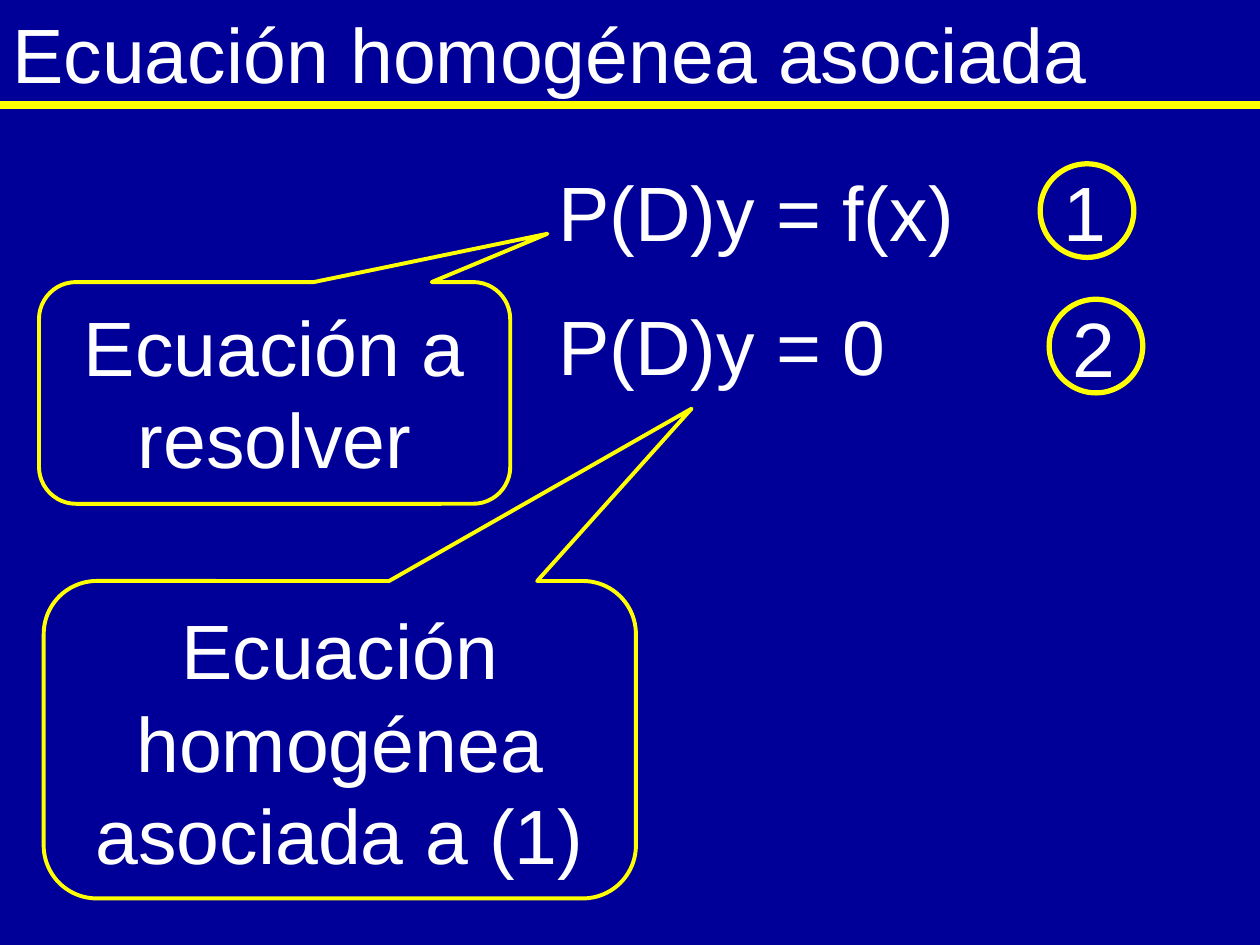
from pptx import Presentation
from pptx.dml.color import RGBColor
from pptx.enum.shapes import MSO_CONNECTOR, MSO_SHAPE
from pptx.enum.text import MSO_ANCHOR, PP_ALIGN
from pptx.oxml.ns import qn
from pptx.util import Pt
from lxml.etree import SubElement

NAVY = RGBColor(0x00, 0x00, 0x99)
YELLOW = RGBColor(0xFF, 0xFF, 0x00)
WHITE = RGBColor(0xFF, 0xFF, 0xFF)


def write(frame, text, align=PP_ALIGN.LEFT, anchor=MSO_ANCHOR.TOP):
    """Put one white paragraph into a text frame."""
    frame.word_wrap = True
    frame.vertical_anchor = anchor
    paragraph = frame.paragraphs[0]
    paragraph.alignment = align
    run = paragraph.add_run()
    run.text = text
    run.font.name = "Arial"
    run.font.size = Pt(44)
    run.font.color.rgb = WHITE


def add_label(slide, text, left, top, width, height, anchor=MSO_ANCHOR.TOP):
    """Add a text box."""
    label = slide.shapes.add_textbox(Pt(left), Pt(top), Pt(width), Pt(height))
    write(label.text_frame, text, anchor=anchor)


def add_outline(slide, kind, left, top, width, height, weight):
    """Add an unfilled shape with a yellow outline."""
    outline = slide.shapes.add_shape(kind, Pt(left), Pt(top), Pt(width), Pt(height))
    outline.shadow.inherit = False
    outline.fill.background()
    outline.line.color.rgb = YELLOW
    outline.line.width = Pt(weight)
    return outline


def add_heading(slide, text, width, height):
    """Add the title and the full-width rule below it."""
    add_label(slide, text, 0, 0, width - 36, height, MSO_ANCHOR.MIDDLE)
    rule = slide.shapes.add_connector(
        MSO_CONNECTOR.STRAIGHT, Pt(0), Pt(height), Pt(width), Pt(height))
    rule.line.color.rgb = YELLOW
    rule.line.width = Pt(4.5)
    SubElement(rule._element.spPr, qn("a:effectLst"))


def add_equation(slide, formula, number, left, top, circle_left, circle_top):
    """Add an equation with its circled number."""
    add_label(slide, formula, left, top, 255.6, 59.8)
    add_outline(slide, MSO_SHAPE.OVAL, circle_left, circle_top, 53.5, 53.5, 3)
    add_label(slide, number, circle_left + 6.5, circle_top - 3, 50.4, 59.8)


def add_callout(slide, text, left, top, width, height, tip_x, tip_y):
    """Add a rounded callout whose tip is an offset from its centre."""
    callout = add_outline(
        slide, MSO_SHAPE.ROUNDED_RECTANGULAR_CALLOUT, left, top, width, height, 2.25)
    callout.adjustments[0] = tip_x
    callout.adjustments[1] = tip_y
    callout.adjustments[2] = 0.167
    write(callout.text_frame, text, PP_ALIGN.CENTER)


def main():
    """Build and save the slide."""
    deck = Presentation()
    deck.slide_width, deck.slide_height = Pt(720), Pt(540)
    slide = deck.slides.add_slide(deck.slide_layouts[6])
    slide.background.fill.solid()
    slide.background.fill.fore_color.rgb = NAVY
    add_heading(slide, "Ecuación homogénea asociada", 720, 60.2)
    add_equation(slide, "P(D)y = f(x)", "1", 312, 90.7, 594.4, 93.6)
    add_equation(slide, "P(D)y = 0", "2", 312, 167, 599.5, 171)
    add_callout(slide, "Ecuación homogénea asociada a (1)",
                25, 332, 338.4, 181.4, 0.594, -1.043)
    add_callout(slide, "Ecuación a resolver", 22.3, 161.2, 269.3, 126.7, 0.579, -0.718)
    deck.save("out.pptx")


if __name__ == "__main__":
    main()
